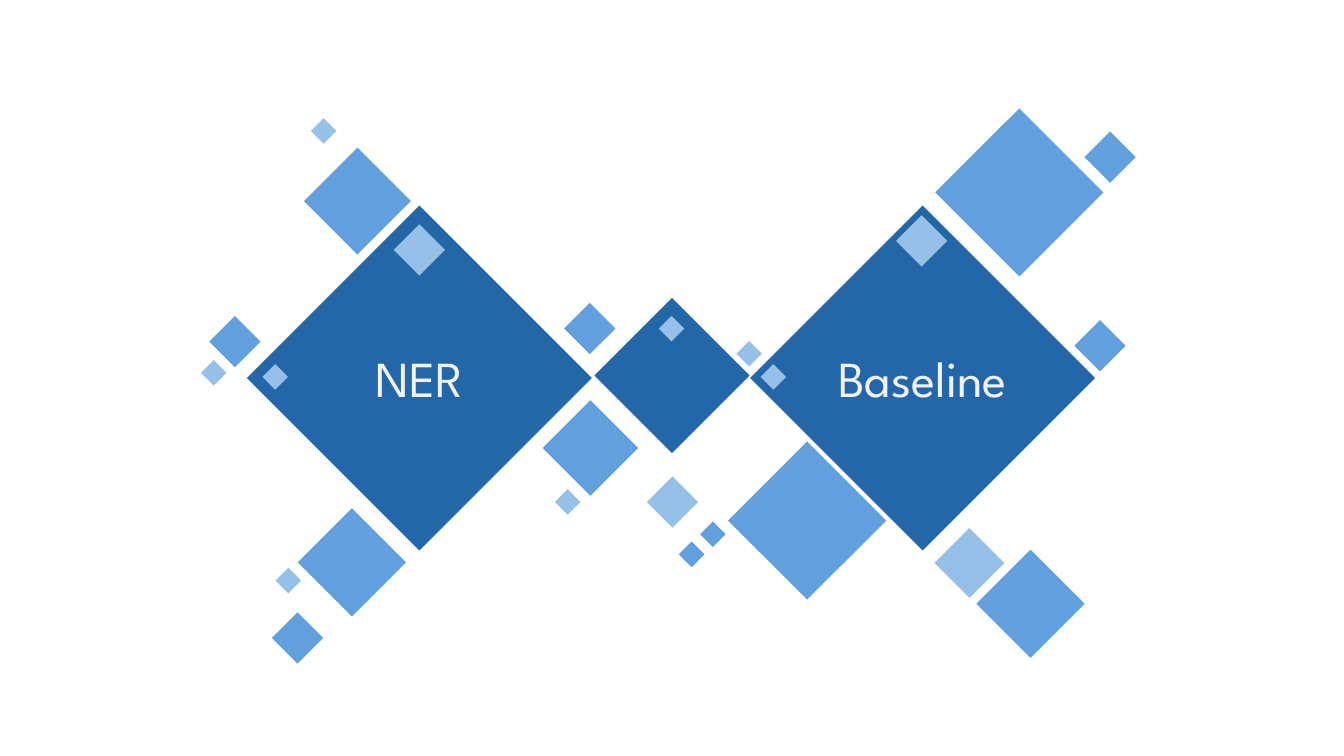
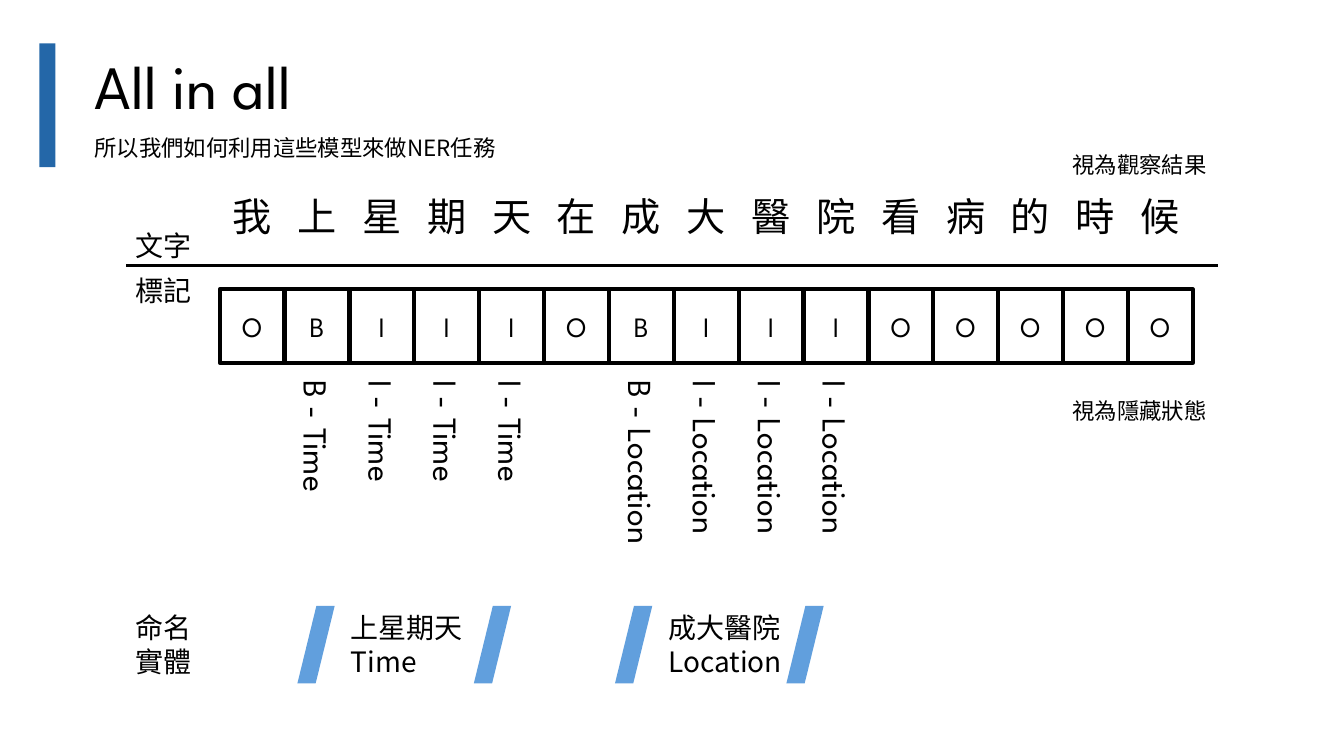
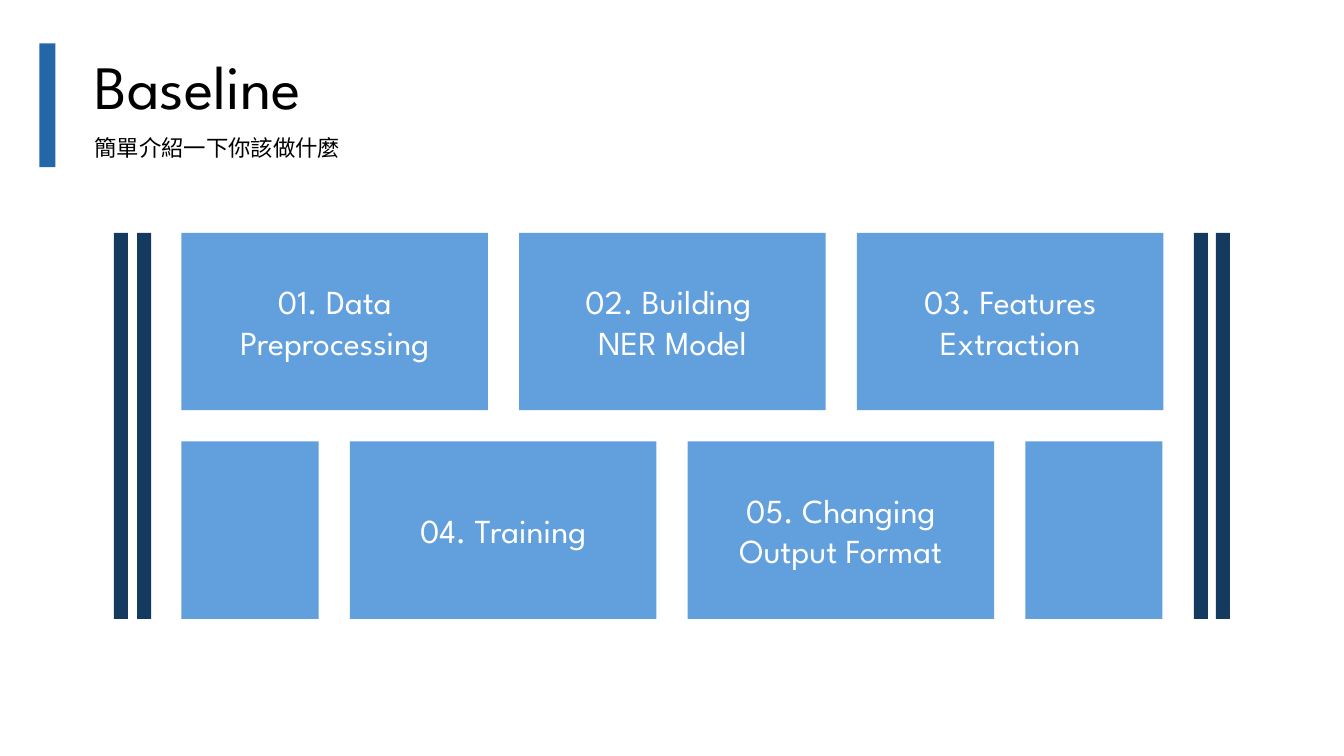
from lxml.etree import SubElement
from pptx import Presentation
from pptx.dml.color import RGBColor
from pptx.enum.shapes import MSO_CONNECTOR, MSO_SHAPE
from pptx.enum.text import MSO_ANCHOR, MSO_AUTO_SIZE, PP_ALIGN
from pptx.oxml.ns import qn
from pptx.util import Inches, Pt

BLACK = RGBColor(0x00, 0x00, 0x00)
WHITE = RGBColor(0xFF, 0xFF, 0xFF)
PALE_GRAY = RGBColor(0xF2, 0xF2, 0xF2)
NAVY = RGBColor(0x14, 0x3A, 0x60)
BLUE = RGBColor(0x24, 0x67, 0xA8)
SKY = RGBColor(0x61, 0x9F, 0xDD)
PALE_BLUE = RGBColor(0x97, 0xC0, 0xE9)

LATIN_FONT = "League Spartan"
CHINESE_FONT = "Noto Sans CJK SC"
TITLE_ONLY, BLANK = 5, 6

LARGE, SMALL, TINY = 2.42, 0.36, 0.18
# Colour and (left, top, side) of each diamond
DIAMONDS = [
    (BLUE, [(2.95, 2.54, LARGE), (6.12, 3.18, 1.09), (7.94, 2.54, LARGE)]),
    (SKY, [(5.52, 4.11, 0.67), (3.11, 5.2, 0.76), (9.52, 1.32, 1.18),
           (3.17, 1.62, 0.75), (9.84, 5.61, 0.76), (7.45, 4.61, 1.11),
           (5.67, 3.08, SMALL), (2.15, 3.21, SMALL), (2.77, 6.15, SMALL),
           (10.73, 3.25, SMALL), (10.83, 1.38, SMALL),
           (6.77, 5.41, TINY), (6.98, 5.21, TINY)]),
    (PALE_BLUE, [(9.37, 5.34, 0.49), (3.98, 2.3, SMALL), (6.49, 4.8, SMALL),
                 (8.96, 2.21, SMALL), (2.64, 3.65, TINY), (2.77, 5.67, TINY),
                 (7.34, 3.42, TINY), (6.57, 3.17, TINY), (7.58, 3.65, TINY),
                 (5.54, 4.89, TINY), (3.12, 1.21, TINY), (2.03, 3.61, TINY)]),
]

SENTENCE = "我上星期天在成大醫院看病的時候"
TAGS = (["O", "B - Time"] + ["I - Time"] * 3 + ["O", "B - Location"]
        + ["I - Location"] * 3 + ["O"] * 5)
CELLS_LEFT, CELLS_RIGHT = 2.18, 11.83
CELL_WIDTH = (CELLS_RIGHT - CELLS_LEFT) / len(SENTENCE)
CELL_HEIGHT = 0.73
TAG_TOP, TAG_LENGTH, TAG_HEIGHT = 3.68, 2.14, 0.5
ENTITY_TOP, ENTITY_HEIGHT, SLASH_WIDTH = 6.01, 0.77, 0.37

BRICK_WIDTH, HALF_WIDTH, BRICK_HEIGHT, BRICK_GAP = 3.04, 1.36, 1.76, 0.31
WALL_LEFT, WALL_TOP = 1.8, 2.31
WALL_ROWS = [
    [(BRICK_WIDTH, "01. Data\nPreprocessing"),
     (BRICK_WIDTH, "02. Building \nNER Model"),
     (BRICK_WIDTH, "03. Features\nExtraction")],
    [(HALF_WIDTH, ""), (BRICK_WIDTH, "04. Training"),
     (BRICK_WIDTH, "05. Changing\nOutput Format"), (HALF_WIDTH, "")],
]


def write(shape, text, size=20, font=LATIN_FONT, color=BLACK,
          align=PP_ALIGN.LEFT, anchor=MSO_ANCHOR.TOP):
    """Fill a shape with text, one paragraph for each line."""
    frame = shape.text_frame
    frame.word_wrap = True
    frame.auto_size = MSO_AUTO_SIZE.NONE
    frame.vertical_anchor = anchor
    frame.text = text
    for para in frame.paragraphs:
        para.alignment = align
        for span in para.runs:
            span.font.size = Pt(size)
            span.font.name = font
            span.font.color.rgb = color
            east_asian = SubElement(span.font._element, qn("a:ea"))
            east_asian.set("typeface", font)


def add_text(page, left, top, width, height, text, **style):
    box = page.shapes.add_textbox(Inches(left), Inches(top), Inches(width), Inches(height))
    write(box, text, **style)
    return box


def add_block(page, left, top, width, height, fill=None, kind=MSO_SHAPE.RECTANGLE):
    """Add a flat shape without outline; it is hollow if no fill is given."""
    block = page.shapes.add_shape(kind, Inches(left), Inches(top), Inches(width), Inches(height))
    block.shadow.inherit = False
    block.line.fill.background()
    if fill is None:
        block.fill.background()
    else:
        block.fill.solid()
        block.fill.fore_color.rgb = fill
    return block


def add_rule(page, left, right, top):
    rule = page.shapes.add_connector(MSO_CONNECTOR.STRAIGHT, Inches(left), Inches(top),
                                     Inches(right), Inches(top))
    rule.line.color.rgb = BLACK
    rule.line.width = Pt(2.25)
    SubElement(rule._element.spPr, qn("a:effectLst"))


def add_titled_page(deck, title, subtitle):
    page = deck.slides.add_slide(deck.slide_layouts[TITLE_ONLY])
    heading = page.shapes.title
    heading.left, heading.top = Inches(0.84), Inches(0.43)
    heading.width, heading.height = Inches(8), Inches(0.84)
    write(heading, title, size=44)
    add_text(page, 0.84, 1.28, 4.2, 0.37, subtitle, size=16, font=CHINESE_FONT)
    add_block(page, 0.39, 0.43, 0.16, 1.23, BLUE)
    return page


def add_tag_column(page, index, character, tag):
    """Add a character, its tag cell and, for an entity, the turned tag name."""
    left = CELLS_LEFT + index * CELL_WIDTH
    centred = {"align": PP_ALIGN.CENTER, "anchor": MSO_ANCHOR.MIDDLE}
    add_text(page, left, 1.78, CELL_WIDTH, CELL_HEIGHT, character,
             size=28, font=CHINESE_FONT, **centred)
    cell = add_block(page, left, 2.87, CELL_WIDTH, CELL_HEIGHT)
    cell.line.color.rgb = BLACK
    cell.line.width = Pt(3)
    write(cell, tag[0], **centred)
    if tag != "O":
        name = add_text(page, left + (CELL_WIDTH - TAG_LENGTH) / 2,
                        TAG_TOP + (TAG_LENGTH - TAG_HEIGHT) / 2,
                        TAG_LENGTH, TAG_HEIGHT, tag, size=24)
        name.rotation = 90


def add_entity(page, left, right, text):
    """Add an entity between two slashes that start at left and right."""
    for slash_left in (left, right):
        slash = add_block(page, slash_left, ENTITY_TOP, SLASH_WIDTH, ENTITY_HEIGHT,
                          SKY, MSO_SHAPE.PARALLELOGRAM)
        slash.adjustments[0] = 0.51
    add_text(page, left + SLASH_WIDTH + 0.06, ENTITY_TOP, 1.6, ENTITY_HEIGHT,
             text, font=CHINESE_FONT)


def build_overview(deck):
    page = deck.slides.add_slide(deck.slide_layouts[BLANK])
    for color, places in DIAMONDS:
        for left, top, side in places:
            add_block(page, left, top, side, side, color).rotation = 45
    for left, label in ((2.95, "NER"), (7.94, "Baseline")):
        add_text(page, left, 3.39, LARGE, 0.71, label, size=36, color=PALE_GRAY,
                 align=PP_ALIGN.CENTER)


def build_tagging(deck):
    page = add_titled_page(deck, "All in all", "所以我們如何利用這些模型來做NER任務")
    add_rule(page, 1.25, 12.08, 2.63)
    for top, label in ((2.22, "文字"), (2.66, "標記"), (ENTITY_TOP, "命名\n實體")):
        add_text(page, 1.25, top, 0.9, 0.44, label, font=CHINESE_FONT)
    for top, note in ((1.45, "視為觀察結果"), (3.89, "視為隱藏狀態")):
        add_text(page, 10.54, top, 1.6, 0.37, note, size=16, font=CHINESE_FONT)
    for index, (character, tag) in enumerate(zip(SENTENCE, TAGS)):
        add_tag_column(page, index, character, tag)
    add_entity(page, 2.95, 4.7, "上星期天\nTime")
    add_entity(page, 6.1, 7.8, "成大醫院\nLocation")


def build_steps(deck):
    page = add_titled_page(deck, "Baseline", "簡單介紹一下你該做什麼")
    for row, bricks in enumerate(WALL_ROWS):
        left = WALL_LEFT
        top = WALL_TOP + row * (BRICK_HEIGHT + BRICK_GAP)
        for width, text in bricks:
            brick = add_block(page, left, top, width, BRICK_HEIGHT, SKY)
            if text:
                write(brick, text, size=24, color=WHITE,
                      align=PP_ALIGN.CENTER, anchor=MSO_ANCHOR.MIDDLE)
            left += width + BRICK_GAP
    for left in (1.13, 1.36, 11.84, 12.06):
        add_block(page, left, WALL_TOP, 0.14, 2 * BRICK_HEIGHT + BRICK_GAP, NAVY)


def main():
    deck = Presentation()
    deck.slide_width, deck.slide_height = Inches(13.33), Inches(7.5)
    build_overview(deck)
    build_tagging(deck)
    build_steps(deck)
    deck.save("out.pptx")


if __name__ == "__main__":
    main()
